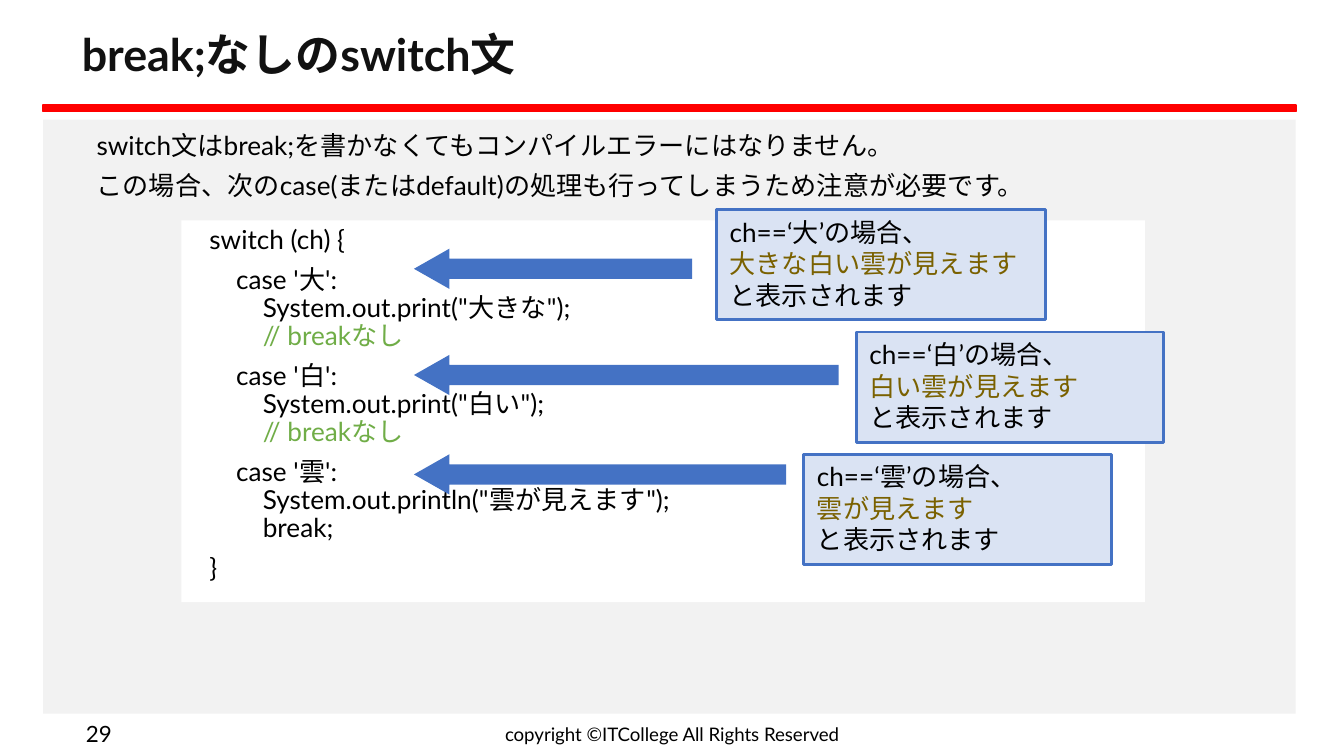
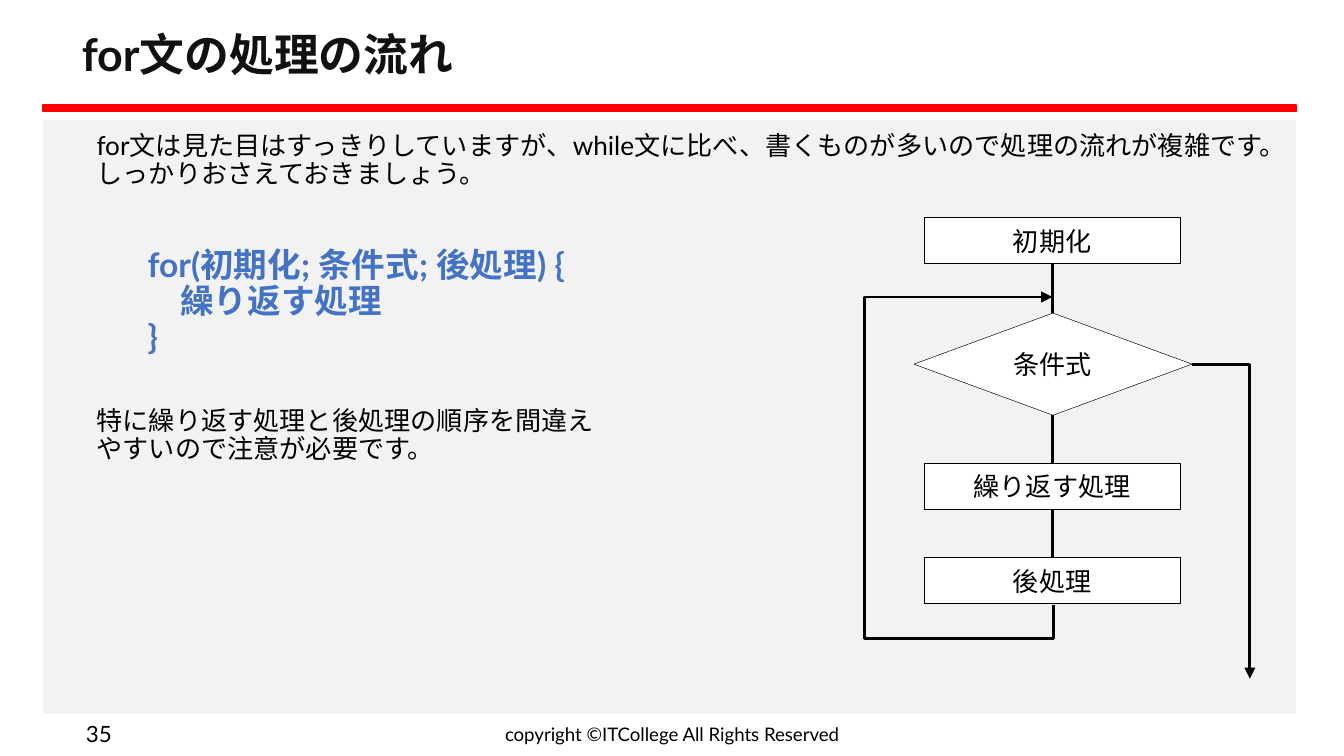
from dataclasses import dataclass
from typing import Any, Optional

import pptx
import pptx.dml.color
import pptx.enum.shapes
import pptx.enum.text
import pptx.oxml
import pptx.oxml.ns
import pptx.util

Inches = pptx.util.Inches
Pt = pptx.util.Pt
RGB = pptx.dml.color.RGBColor.from_string
SHAPE = pptx.enum.shapes.MSO_SHAPE
CONNECTOR = pptx.enum.shapes.MSO_CONNECTOR
ALIGN = pptx.enum.text.PP_ALIGN
ANCHOR = pptx.enum.text.MSO_ANCHOR
qn = pptx.oxml.ns.qn


@dataclass(frozen=True)
class Theme:
    font: str = "Lato"
    title_ink: str = "111111"
    ink: str = "000000"
    paper: str = "FFFFFF"
    panel: str = "F2F2F2"
    band: str = "FF0000"
    blue: str = "4472C4"
    pale_blue: str = "DAE3F3"
    comment: str = "70AD47"
    output: str = "7A6100"
    title: float = 24
    syntax: float = 18
    body: float = 14
    number: float = 12
    footer: float = 10


THEME = Theme()


@dataclass(frozen=True)
class Box:
    left: float
    top: float
    width: float
    height: float

    def emu(self) -> tuple[int, int, int, int]:
        return (Inches(self.left), Inches(self.top),
                Inches(self.width), Inches(self.height))


@dataclass(frozen=True)
class Para:
    text: str
    size: float = THEME.body
    color: str = THEME.ink
    bold: bool = False
    align: Any = ALIGN.LEFT
    indent: float = 0
    spacing: float = 1
    before: float = 0
    accent_line: Optional[int] = None
    accent: str = THEME.ink


@dataclass(frozen=True)
class Callout:
    box: Box
    letter: str
    output: str
    arrow_top: float
    arrow_width: float


@dataclass(frozen=True)
class Step:
    text: str
    kind: Any
    box: Box


def body_para(text: str, **options: Any) -> Para:
    return Para(text, **{"indent": 0.11, "spacing": 0.9, "before": 6, **options})


def write(sp: Any, paras: list[Para], anchor: Any = ANCHOR.TOP) -> None:
    tf = sp.text_frame
    tf.word_wrap = True
    tf.vertical_anchor = anchor
    for i, para in enumerate(paras):
        p = tf.paragraphs[0] if i == 0 else tf.add_paragraph()
        p.text = para.text
        p.alignment = para.align
        p.line_spacing = para.spacing
        p.space_before = Pt(para.before if i else 0)
        pPr = p._p.get_or_add_pPr()
        pPr.set("marL", str(Inches(para.indent)))
        pPr.set("indent", "0")
        for line, r in enumerate(p.runs):
            color = para.accent if line == para.accent_line else para.color
            r.font.name = THEME.font
            r.font.size = Pt(para.size)
            r.font.bold = para.bold
            r.font.color.rgb = RGB(color)
            rPr = r._r.get_or_add_rPr()
            rPr.append(rPr.makeelement(qn("a:ea"), {"typeface": THEME.font}))
        for br in p._p.findall(qn("a:br")):
            rPr = pptx.oxml.parse_xml(
                f'<a:rPr {pptx.oxml.ns.nsdecls("a")} sz="{int(para.size * 100)}">'
                f'<a:latin typeface="{THEME.font}"/></a:rPr>')
            br.append(rPr)


def add_text(s: Any, box: Box, paras: list[Para], anchor: Any = ANCHOR.TOP) -> Any:
    sp = s.shapes.add_textbox(*box.emu())
    write(sp, paras, anchor)
    return sp


def add_shape(s: Any, kind: Any, box: Box, fill: str,
              line: Optional[str] = None, weight: float = 1) -> Any:
    sp = s.shapes.add_shape(kind, *box.emu())
    sp.shadow.inherit = False
    sp.fill.solid()
    sp.fill.fore_color.rgb = RGB(fill)
    if line:
        sp.line.color.rgb = RGB(line)
        sp.line.width = Pt(weight)
    else:
        sp.line.fill.background()
    return sp


def add_line(s: Any, start: tuple[float, float], end: tuple[float, float],
             preset: str = "line", arrow: bool = False) -> Any:
    points = [Inches(v) for v in (*start, *end)]
    cx = s.shapes.add_connector(CONNECTOR.STRAIGHT, *points)
    cx.line.color.rgb = RGB(THEME.ink)
    cx.line.width = Pt(1.5)
    spPr = cx._element.spPr
    spPr.find(qn("a:prstGeom")).set("prst", preset)
    if arrow:
        ln = spPr.find(qn("a:ln"))
        ln.append(ln.makeelement(qn("a:tailEnd"), {"type": "triangle"}))
    spPr.append(spPr.makeelement(qn("a:effectLst"), {}))
    return cx


def add_loop_back(s: Any, box: Box, drop: float, reach: float) -> None:
    cx = add_line(s, (box.left, box.top),
                  (box.left + box.width, box.top + box.height),
                  "bentConnector4", arrow=True)
    spPr = cx._element.spPr
    xfrm = spPr.find(qn("a:xfrm"))
    xfrm.set("rot", str(90 * 60000))
    xfrm.set("flipH", "1")
    guides = spPr.find(qn("a:prstGeom")).get_or_add_avLst()
    ratios = (-drop / box.width, reach / box.height)
    for i, ratio in enumerate(ratios, 1):
        guides.append(guides.makeelement(
            qn("a:gd"), {"name": f"adj{i}", "fmla": f"val {round(ratio * 100000)}"}))


def add_base(prs: Any, title: str, number: int) -> Any:
    s = prs.slides.add_slide(prs.slide_layouts[6])
    add_shape(s, SHAPE.RECTANGLE, Box(0.32, 0.89, 9.32, 4.42), THEME.panel)
    add_shape(s, SHAPE.RECTANGLE, Box(0.32, 0.78, 9.32, 0.05), THEME.band, THEME.band)
    add_text(s, Box(3.31, 5.32, 3.38, 0.28),
             [Para("copyright ©ITCollege All Rights Reserved", THEME.footer,
                   align=ALIGN.CENTER)], ANCHOR.MIDDLE)
    heading = add_text(s, Box(0.51, 0.13, 8.99, 0.59),
                       [Para(title, THEME.title, THEME.title_ink, True, spacing=0.9)],
                       ANCHOR.MIDDLE)
    heading.text_frame.margin_top = heading.text_frame.margin_bottom = Inches(0.1)
    add_text(s, Box(0.24, 5.32, 0.69, 0.28),
             [Para(str(number), THEME.number, align=ALIGN.RIGHT)], ANCHOR.MIDDLE)
    return s


def add_callout(s: Any, callout: Callout) -> None:
    sp = add_shape(s, SHAPE.RECTANGLE, callout.box, THEME.pale_blue, THEME.blue, 1.5)
    text = f"ch==‘{callout.letter}’の場合、\n{callout.output}\nと表示されます"
    write(sp, [Para(text, accent_line=1, accent=THEME.output)])


def add_callout_arrow(s: Any, callout: Callout) -> None:
    box = Box(3.08, callout.arrow_top, callout.arrow_width, 0.3)
    sp = add_shape(s, SHAPE.RIGHT_ARROW, box, THEME.blue)
    sp.rotation = 180
    sp.adjustments[0] = 0.5
    sp.adjustments[1] = 0.88


def build_switch_slide(prs: Any) -> None:
    s = add_base(prs, "break;なしのswitch文", 29)
    add_text(s, Box(0.51, 0.94, 8.99, 0.69), [
        body_para("switch文はbreak;を書かなくてもコンパイルエラーにはなりません。"),
        body_para("この場合、次のcase(またはdefault)の処理も行ってしまうため注意が必要です。"),
    ])
    cases = [
        ("大", 'print("大きな");', "// breakなし"),
        ("白", 'print("白い");', "// breakなし"),
        ("雲", 'println("雲が見えます");', "break;"),
    ]
    code = [body_para("switch (ch) {")]
    for letter, call, ending in cases:
        code.append(body_para(
            f"    case '{letter}':\n        System.out.{call}\n        {ending}",
            accent_line=2 if ending.startswith("//") else None, accent=THEME.comment))
    code.append(body_para("}"))
    panel = add_shape(s, SHAPE.RECTANGLE, Box(1.35, 1.64, 7.17, 2.84), THEME.paper)
    write(panel, code)

    callouts = [
        Callout(Box(5.33, 1.56, 2.45, 0.82), "大", "大きな白い雲が見えます", 1.85, 2.07),
        Callout(Box(6.37, 2.47, 2.29, 0.82), "白", "白い雲が見えます", 2.64, 3.16),
        Callout(Box(5.98, 3.38, 2.29, 0.82), "雲", "雲が見えます", 3.38, 2.77),
    ]
    for callout in callouts:
        add_callout(s, callout)
    for callout in callouts:
        add_callout_arrow(s, callout)


def build_for_slide(prs: Any) -> None:
    s = add_base(prs, "for文の処理の流れ", 35)
    add_text(s, Box(0.51, 0.94, 8.99, 4.29), [
        body_para("for文は見た目はすっきりしていますが、while文に比べ、書くものが多いので"
                  "処理の流れが複雑です。しっかりおさえておきましょう。"),
        body_para("for(初期化; 条件式; 後処理) {\n    繰り返す処理\n}", size=THEME.syntax,
                  color=THEME.blue, bold=True, indent=0.49, before=31.5),
        body_para("特に繰り返す処理と後処理の順序を間違え\nやすいので注意が必要です。",
                  before=27),
    ])
    steps = [
        Step("初期化", SHAPE.RECTANGLE, Box(6.88, 1.62, 1.9, 0.34)),
        Step("条件式", SHAPE.FLOWCHART_DECISION, Box(6.8, 2.33, 2.07, 0.76)),
        Step("繰り返す処理", SHAPE.RECTANGLE, Box(6.88, 3.45, 1.9, 0.34)),
        Step("後処理", SHAPE.RECTANGLE, Box(6.88, 4.15, 1.9, 0.34)),
    ]
    for step in steps:
        sp = add_shape(s, step.kind, step.box, THEME.paper, THEME.ink, 0.25)
        write(sp, [Para(step.text, align=ALIGN.CENTER)], ANCHOR.MIDDLE)
    axis = 7.83
    for upper, lower in zip(steps, steps[1:]):
        add_line(s, (axis, upper.box.top + upper.box.height), (axis, lower.box.top))
    add_loop_back(s, Box(6.69, 3.35, 2.29, 0.01), drop=0.25, reach=1.43)
    add_line(s, (8.87, 2.71), (9.3, 5.05), "bentConnector2", arrow=True)


def main() -> None:
    prs = pptx.Presentation()
    prs.slide_width = Inches(10)
    prs.slide_height = prs.slide_width * 9 // 16
    build_switch_slide(prs)
    build_for_slide(prs)
    prs.save("out.pptx")


if __name__ == "__main__":
    main()
